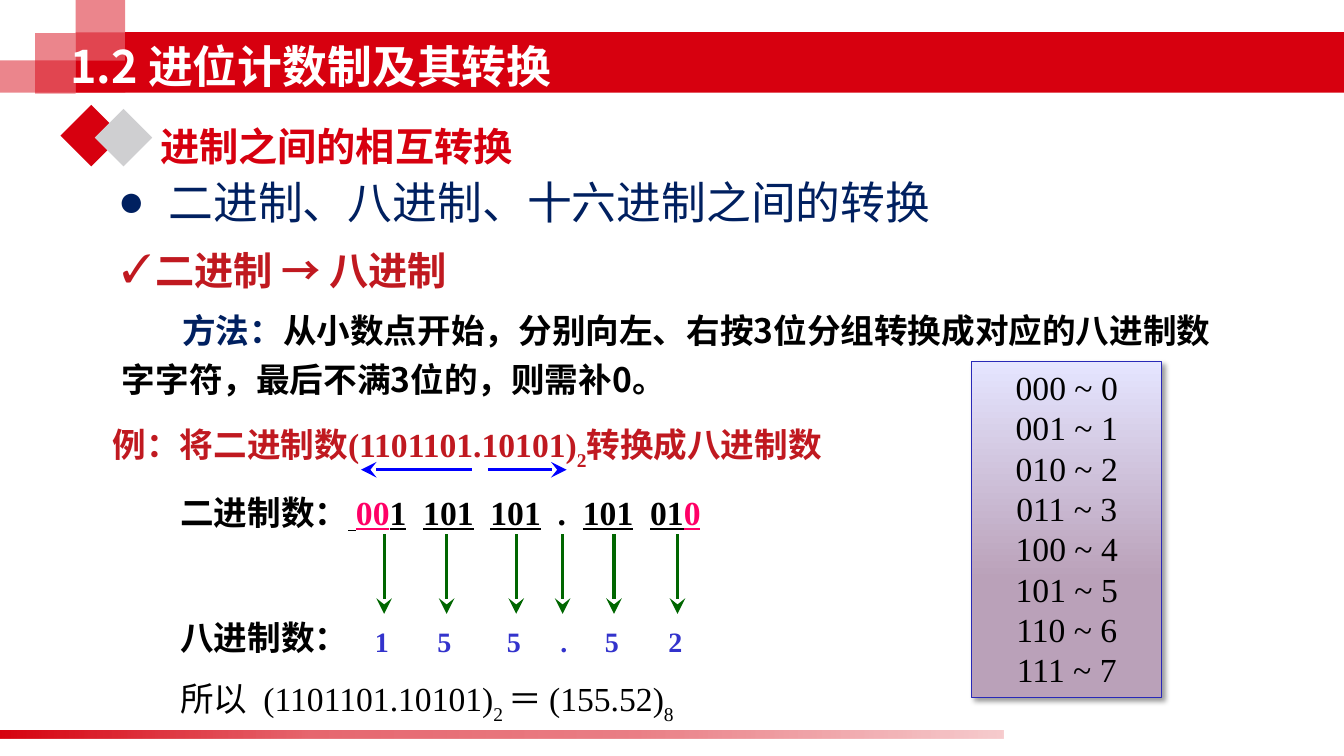
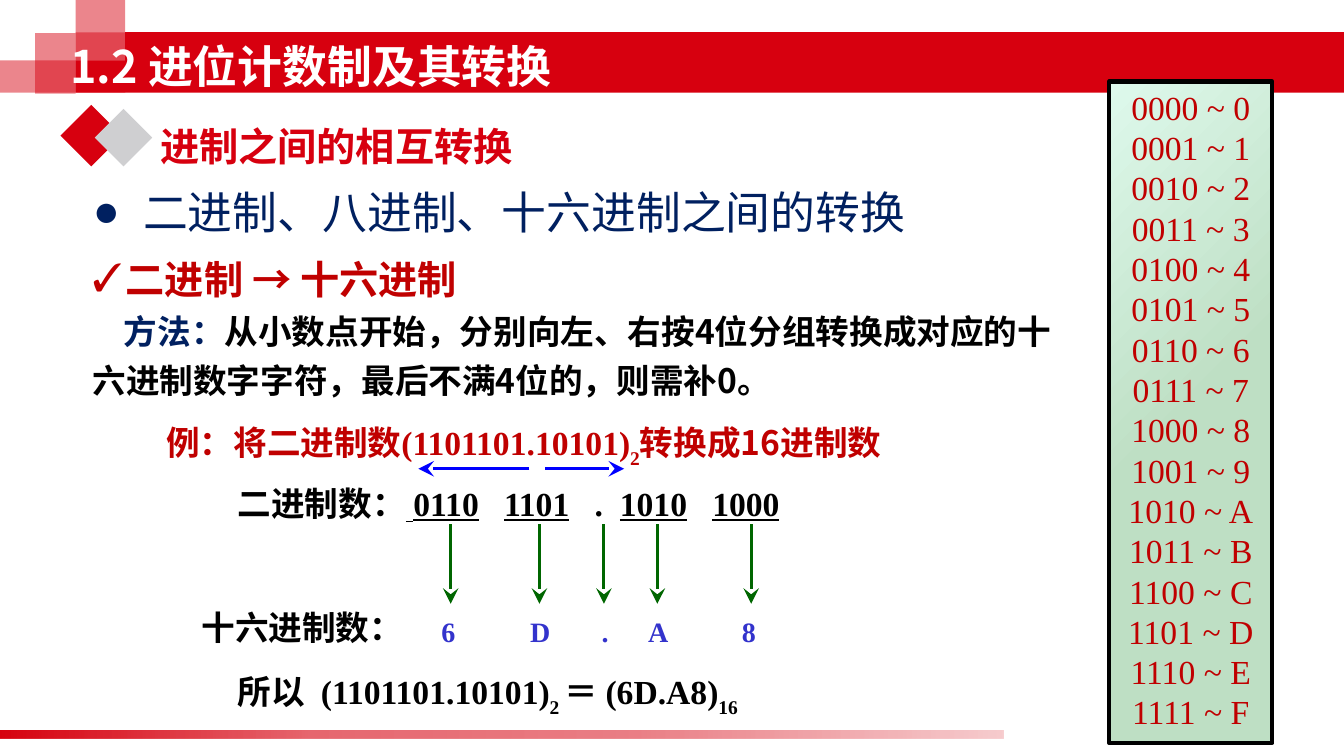
from dataclasses import dataclass
from typing import Optional

from lxml.etree import SubElement
from pptx import Presentation
from pptx.dml.color import RGBColor
from pptx.enum.shapes import MSO_CONNECTOR, MSO_SHAPE
from pptx.enum.text import MSO_ANCHOR, PP_ALIGN
from pptx.oxml.ns import qn
from pptx.util import Inches, Pt


@dataclass(frozen=True)
class Theme:
    red: str = "D7000F"
    grey: str = "CFCFD1"
    white: str = "FFFFFF"
    black: str = "000000"
    navy: str = "002060"
    digit: str = "3333CC"
    padding: str = "FF0066"
    span: str = "0000FF"
    arrow: str = "006600"
    sans: str = "Noto Sans CJK SC"
    serif: str = "Times New Roman"
    title: int = 32
    heading: int = 28
    body: int = 24
    small: int = 20
    arrow_width: float = 2.25


THEME = Theme()


@dataclass(frozen=True)
class Run:
    text: str
    color: str = THEME.black
    size: int = THEME.body
    font: str = THEME.sans
    bold: bool = True
    underline: bool = False
    subscript: bool = False
    spacing: int = 0  # extra character spacing in points


@dataclass(frozen=True)
class Line:
    runs: list
    bullet: str = ""
    left: float = 0
    first: float = 0
    format: Optional[dict] = None


@dataclass(frozen=True)
class Gradient:
    angle: int
    stops: tuple  # (position, colour, opacity) in percent


@dataclass(frozen=True)
class CodeTable:
    box: tuple
    bits: int
    color: str
    gradient: Gradient
    line: tuple
    shadow: bool


@dataclass(frozen=True)
class Conversion:
    bullet_box: tuple
    method_box: tuple
    method: str
    method_indent: float
    method_space: int
    target: str
    accent: str
    example_box: tuple
    example_end: str
    binary_box: tuple
    binary: list
    span_left: float
    span_top: float
    arrow_top: float
    digits: list  # (centre, digit)
    label_box: tuple
    label: str
    result_box: tuple
    result: str
    base: str
    result_bold: bool
    table: CodeTable


# Drawing helpers
def rgb(color: str) -> RGBColor:
    return RGBColor.from_string(color)


def element(parent, tag: str, **values):
    return SubElement(parent, qn(tag), {key: str(value) for key, value in values.items()})


def color_element(parent, color: str, opacity: int = 100) -> None:
    node = element(parent, "a:srgbClr", val=color)
    if opacity < 100:
        element(node, "a:alpha", val=opacity * 1000)


def add_block(slide, kind, box: tuple, fill, opacity: int = 100, line: tuple = ()):
    shape = slide.shapes.add_shape(kind, *map(Inches, box))
    shape.shadow.inherit = False
    if isinstance(fill, Gradient):
        shape.fill.background()
        blank = shape._element.spPr.find(qn("a:noFill"))
        gradient = element(shape._element.spPr, "a:gradFill", rotWithShape=1)
        blank.getparent().replace(blank, gradient)
        stops = element(gradient, "a:gsLst")
        for position, color, alpha in fill.stops:
            color_element(element(stops, "a:gs", pos=position * 1000), color, alpha)
        element(gradient, "a:lin", ang=fill.angle * 60000, scaled=0)
    else:
        shape.fill.solid()
        shape.fill.fore_color.rgb = rgb(fill)
        if opacity < 100:
            color = shape._element.spPr.find(".//" + qn("a:srgbClr"))
            element(color, "a:alpha", val=opacity * 1000)
    if line:
        shape.line.color.rgb = rgb(line[0])
        shape.line.width = Pt(line[1])
    else:
        shape.line.fill.background()
    return shape


def add_run(paragraph, part: Run) -> None:
    run = paragraph.add_run()
    run.text = part.text
    values = {"size": Pt(part.size), "name": part.font,
              "bold": part.bold, "underline": part.underline}
    for name, value in values.items():
        setattr(run.font, name, value)
    run.font.color.rgb = rgb(part.color)
    properties = run._r.get_or_add_rPr()
    element(properties, "a:ea", typeface=THEME.sans)
    if part.subscript:
        properties.set("baseline", "-30000")
    if part.spacing:
        properties.set("spc", str(part.spacing * 100))


def write(frame, lines: list) -> None:
    for index, line in enumerate(lines):
        paragraph = frame.add_paragraph() if index else frame.paragraphs[0]
        properties = paragraph._p.get_or_add_pPr()
        properties.set("marL", str(Inches(line.left)))
        properties.set("indent", str(Inches(line.first)))
        if line.bullet:
            color_element(element(properties, "a:buClr"), line.runs[0].color)
            element(properties, "a:buFont", typeface=THEME.serif)
            element(properties, "a:buChar", char=line.bullet)
        for name, value in (line.format or {}).items():
            setattr(paragraph, name, value)
        for part in line.runs:
            add_run(paragraph, part)


def add_text(slide, box: tuple, lines: list, anchor=MSO_ANCHOR.MIDDLE,
             wrap: bool = True, left_inset: float = 0.1) -> None:
    frame = slide.shapes.add_textbox(*map(Inches, box)).text_frame
    values = {"word_wrap": wrap, "vertical_anchor": anchor, "margin_left": Inches(left_inset)}
    for name, value in values.items():
        setattr(frame, name, value)
    write(frame, lines)


def add_arrow(slide, start: tuple, end: tuple, color: str) -> None:
    arrow = slide.shapes.add_connector(MSO_CONNECTOR.STRAIGHT, *map(Inches, start + end))
    arrow.line.color.rgb = rgb(color)
    arrow.line.width = Pt(THEME.arrow_width)
    element(arrow.line._get_or_add_ln(), "a:tailEnd", type="stealth", w="lg", len="lg")
    element(arrow._element.spPr, "a:effectLst")


# Parts shared by the slides
def add_frame(slide) -> None:
    add_block(slide, MSO_SHAPE.RECTANGLE, (1.24, 0.32, 12.09, 0.6), THEME.red)
    for box, opacity in (((0, 0.6, 1.24, 0.32), 48), ((0.35, 0.33, 0.4, 0.6), 48),
                         ((0.75, -0.02, 0.49, 0.62), 48), ((0.75, 0.32, 0.49, 0.28), 48),
                         ((0.75, 0.6, 0.49, 0.32), 100)):
        add_block(slide, MSO_SHAPE.RECTANGLE, box, THEME.red, opacity)
    fade = ((0, 100), (31, 60), (64, 50), (100, 20))
    add_block(slide, MSO_SHAPE.RECTANGLE, (-0.02, 7.25, 9.97, 0.08),
              Gradient(0, tuple((position, THEME.red, alpha) for position, alpha in fade)))
    add_block(slide, MSO_SHAPE.DIAMOND, (0.6, 1.04, 0.61, 0.61), THEME.red)
    add_block(slide, MSO_SHAPE.DIAMOND, (0.94, 1.08, 0.57, 0.57), THEME.grey)
    add_text(slide, (0.6, 0.32, 8.9, 0.67),
             [Line([Run("1.2 进位计数制及其转换", THEME.white, THEME.title)])])
    add_text(slide, (1.49, 1.16, 4.55, 0.57),
             [Line([Run("进制之间的相互转换", THEME.red, THEME.heading)])], MSO_ANCHOR.TOP)


def add_code_table(slide, table: CodeTable) -> None:
    shape = add_block(slide, MSO_SHAPE.RECTANGLE, table.box, table.gradient, line=table.line)
    if table.shadow:
        effects = shape._element.spPr.find(qn("a:effectLst"))
        shadow = element(effects, "a:outerShdw", blurRad=Pt(4), dist=Pt(3), dir=45 * 60000)
        color_element(shadow, THEME.black, 40)
    shape.text_frame.vertical_anchor = MSO_ANCHOR.TOP
    layout = {"alignment": PP_ALIGN.CENTER, "line_spacing": Pt(28.8)}
    write(shape.text_frame, [
        Line([Run(f"{value:0{table.bits}b} ~ {value:X}", table.color,
                  font=THEME.serif, bold=False)], format=layout)
        for value in range(2 ** table.bits)])


def bits(text: str, color: str = THEME.black) -> Run:
    return Run(text, color, font=THEME.serif, underline=True)


def gap(spacing: int) -> Run:
    return Run(" ", font=THEME.serif, spacing=spacing)


def add_conversion(slide, page: Conversion) -> None:
    add_frame(slide)
    # Topic and method
    add_text(slide, page.bullet_box,
             [Line([Run("二进制、八进制、十六进制之间的转换", THEME.navy, THEME.title,
                        THEME.serif, False)], "●", 0.5, -0.5)], MSO_ANCHOR.TOP, left_inset=0)
    add_text(slide, page.method_box, [
        Line([Run(f"二进制 → {page.target}", page.accent, THEME.heading)], "✓", 0.33, -0.33,
             format={"line_spacing": Pt(30)}),
        Line([Run("方法：", THEME.navy), Run(page.method)], first=page.method_indent,
             format={"line_spacing": Pt(35), "space_before": Pt(page.method_space)}),
    ], MSO_ANCHOR.TOP)
    # Example and its binary groups
    number = "(1101101.10101)"
    add_text(slide, page.example_box, [Line([
        Run("例：将二进制数", page.accent), Run(number, page.accent, font=THEME.serif),
        Run("2", page.accent, font=THEME.serif, subscript=True),
        Run(page.example_end, page.accent)])])
    add_text(slide, page.binary_box, [Line([Run("二进制数："), bits(" "), *page.binary])])
    for start, end in ((1.1, 0), (1.26, 2.04)):
        add_arrow(slide, (page.span_left + start, page.span_top),
                  (page.span_left + end, page.span_top), THEME.span)
    # Converted digits
    add_text(slide, page.label_box, [Line([Run(page.label)])], MSO_ANCHOR.TOP, False)
    for center, digit in page.digits:
        bottom = page.arrow_top + 0.79
        add_arrow(slide, (center, page.arrow_top), (center, bottom), THEME.arrow)
        add_text(slide, (center - 0.19, bottom + 0.06, 0.39, 0.43),
                 [Line([Run(digit, THEME.digit, THEME.small, THEME.serif)])])
    # Result
    style = {"font": THEME.serif, "bold": page.result_bold}
    add_text(slide, page.result_box, [Line([
        Run("所以", bold=page.result_bold), Run(" ", bold=page.result_bold, spacing=6),
        Run(number, **style), Run("2 ", subscript=True, **style),
        Run(f"＝ ({page.result})", **style), Run(page.base, subscript=True, **style)])])
    add_code_table(slide, page.table)


# Slide contents
POINT = Run(".", font=THEME.serif)
NARROW, WIDE = gap(6), gap(12)
METHOD = "从小数点开始，分别向左、右按{0}位分组转换成对应的{1}数字字符，最后不满{0}位的，则需补0。"

OCTAL = Conversion(
    bullet_box=(1.17, 1.68, 8.98, 0.63), method_box=(1.11, 2.44, 11.21, 1.73),
    method=METHOD.format(3, "八进制"), method_indent=0.6, method_space=6,
    target="八进制", accent="C01920",
    example_box=(1.02, 4.19, 7.49, 0.5), example_end="转换成八进制数",
    binary_box=(1.69, 4.83, 5.56, 0.5),
    binary=[bits("00", THEME.padding), bits("1"), NARROW, bits("101"), NARROW, bits("101"),
            NARROW, POINT, NARROW, bits("101"), NARROW, bits("01"), bits("0", THEME.padding)],
    span_left=3.58, span_top=4.66, arrow_top=5.3,
    digits=[(3.81, "1"), (4.43, "5"), (5.12, "5"), (5.58, " ."), (6.09, "5"), (6.72, "2")],
    label_box=(1.69, 6.07, 1.88, 0.5), label="八进制数：",
    result_box=(1.69, 6.71, 6.77, 0.5), result="155.52", base="8", result_bold=False,
    table=CodeTable((9.64, 3.59, 1.88, 3.33), 3, THEME.black,
                    Gradient(270, ((0, "BAA1B9", 100), (35, "BAA1B9", 100),
                                   (100, "E5E5FF", 100))), ("2929B8", 0.75), True))

HEXADECIMAL = Conversion(
    bullet_box=(0.92, 1.78, 8.98, 0.63), method_box=(0.82, 2.53, 9.94, 1.46),
    method=METHOD.format(4, "十六进制"), method_indent=0.31, method_space=0,
    target="十六进制", accent="C00000",
    example_box=(1.55, 4.17, 7.45, 0.5), example_end="转换成16进制数",
    binary_box=(2.26, 4.74, 6.22, 0.5),
    binary=[bits("0110"), WIDE, bits("1101"), WIDE, POINT, NARROW, bits("1010"), WIDE,
            bits("1000")],
    span_left=4.15, span_top=4.65, arrow_top=5.2,
    digits=[(4.47, "6"), (5.35, "D"), (5.99, " ."), (6.52, "A"), (7.45, "8")],
    label_box=(1.9, 5.97, 2.21, 0.5), label="十六进制数：",
    result_box=(2.26, 6.64, 6.77, 0.5), result="6D.A8", base="16", result_bold=True,
    table=CodeTable((11, 0.81, 1.62, 6.56), 4, "C00000",
                    Gradient(225, ((0, "BEDFC4", 100), (50, "BEDFC4", 100),
                                   (100, "DEF9EC", 100))), (THEME.black, 3), False))


def main() -> None:
    presentation = Presentation()
    presentation.slide_width = Inches(13.33)
    presentation.slide_height = Inches(7.5)
    for page in (OCTAL, HEXADECIMAL):
        add_conversion(presentation.slides.add_slide(presentation.slide_layouts[6]), page)
    presentation.save("out.pptx")


if __name__ == "__main__":
    main()
